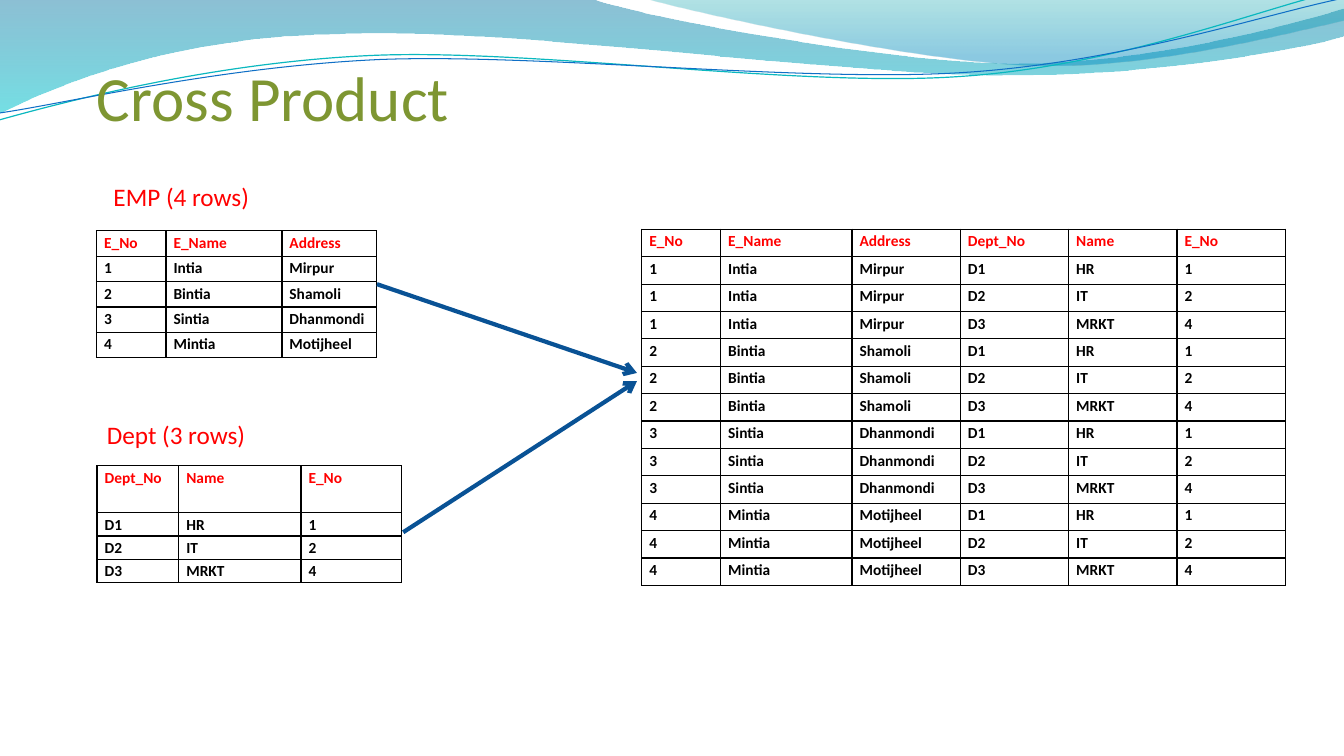
from itertools import product

from lxml.etree import SubElement
from pptx import Presentation
from pptx.dml.color import RGBColor
from pptx.enum.shapes import MSO_CONNECTOR
from pptx.enum.text import MSO_ANCHOR as ANCHOR, MSO_AUTO_SIZE as AUTO_SIZE
from pptx.oxml import parse_xml
from pptx.oxml.ns import nsdecls, qn
from pptx.util import Pt

FONT = "Calibri"
RED, BLACK, GREEN, NAVY = "FF0000", "000000", "7E9632", "095295"


def rgb(value):
    return RGBColor.from_string(value)


class Deck:
    def __init__(self, width, height):
        self.prs = Presentation()
        self.prs.slide_width, self.prs.slide_height = Pt(width), Pt(height)
        self.slide = self.prs.slides.add_slide(self.prs.slide_layouts[6])
        self.shapes = self.slide.shapes

    def outline(self, start, segments, close):
        """Segments are lines (x, y) or cubic curves (x1, y1, x2, y2, x, y)."""
        points = [(Pt(x), Pt(y)) for seg in segments for x, y in zip(seg[::2], seg[1::2])]
        builder = self.shapes.build_freeform(*map(Pt, start), scale=1.0)
        builder.add_line_segments(points, close=close)
        sp = builder.convert_to_shape()
        sp.shadow.inherit = False
        # Join each three points of a curve into one cubic command
        steps = iter(list(sp._element.iter(qn("a:lnTo"))))
        for seg in segments:
            first, *others = [next(steps) for _ in seg[::2]]
            if others:
                first.tag = qn("a:cubicBezTo")
                for step in others:
                    first.append(step[0])
                    step.getparent().remove(step)
        return sp

    def wave(self, start, segments, stops):
        """Closed shape with a downward gradient; stops are (position, colour, opacity %)."""
        sp = self.outline(start, segments, True)
        sp.line.fill.background()
        sp.fill.gradient()
        sp.fill.gradient_angle = 270
        for stop, (position, color, _) in zip(sp.fill.gradient_stops, stops):
            stop.position = position
            stop.color.rgb = rgb(color)
        colors = list(sp._element.spPr.iter(qn("a:srgbClr")))
        for clr, (_, _, opacity) in zip(colors, stops):
            SubElement(clr, qn("a:alpha")).set("val", str(opacity * 1000))

    def curve(self, start, segments, color, width):
        sp = self.outline(start, segments, False)
        sp.rotation = 357.3
        sp.fill.background()
        sp.line.color.rgb = rgb(color)
        sp.line.width = Pt(width)

    def style(self, p, size, color, bold=False):
        p.font.name, p.font.size, p.font.bold = FONT, Pt(size), bold
        p.font.color.rgb = rgb(color)

    def text(self, text, box, size, color, anchor=ANCHOR.MIDDLE, insets=(7.2, 3.6, 7.2, 3.6),
             fit=AUTO_SIZE.SHAPE_TO_FIT_TEXT):
        tf = self.shapes.add_textbox(*map(Pt, box)).text_frame
        tf.word_wrap, tf.auto_size, tf.vertical_anchor = True, fit, anchor
        tf.margin_left, tf.margin_top, tf.margin_right, tf.margin_bottom = map(Pt, insets)
        p = tf.paragraphs[0]
        p.text = text
        self.style(p, size, color)

    def table(self, left, top, widths, heights, rows):
        frame = self.shapes.add_table(len(rows), len(widths), Pt(left), Pt(top),
                                      Pt(sum(widths)), Pt(sum(heights)))
        table = frame.table
        table.first_row = table.horz_banding = False
        for col, width in zip(table.columns, widths):
            col.width = Pt(width)
        for row, height in zip(table.rows, heights):
            row.height = Pt(height)
        for r, values in enumerate(rows):
            for c, value in enumerate(values):
                self.cell(table.cell(r, c), value, BLACK if r else RED)

    def cell(self, cell, value, color):
        cell.fill.background()
        cell.margin_left = cell.margin_right = Pt(5.4)
        cell.margin_top = cell.margin_bottom = 0
        p = cell.text_frame.paragraphs[0]
        p.text, p.line_spacing = value, 1.15
        self.style(p, 11, color, True)
        tc_pr = cell._tc.get_or_add_tcPr()
        for i, side in enumerate("LRTB"):
            tc_pr.insert(i, parse_xml(
                f'<a:ln{side} {nsdecls("a")} w="{Pt(1)}"><a:solidFill>'
                f'<a:srgbClr val="{BLACK}"/></a:solidFill></a:ln{side}>'))

    def arrow(self, start, end):
        line = self.shapes.add_connector(MSO_CONNECTOR.STRAIGHT, *map(Pt, start + end))
        line.line.color.rgb = rgb(NAVY)
        line.line.width = Pt(3)
        SubElement(line.line._get_or_add_ln(), qn("a:tailEnd")).set("type", "arrow")
        SubElement(line._element.spPr, qn("a:effectLst"))


def main():
    deck = Deck(960, 540)

    # Wave header
    deck.wave((0, 0), [(422.6, -0.7),
                       (456.5, 12.2, 637.2, 45.4, 727.9, 45.4),
                       (819.4, 45.4, 920.2, 18.7, 959.8, 6.5),
                       (961.2, 25.9),
                       (943.9, 31.7, 835.2, 54.7, 715.7, 54),
                       (596.9, 54, 366.5, 20.2, 247, 24.5),
                       (123.8, 25.9, 43.9, 59.8, -0.7, 81.4)],
              [(0, "0074A1", 45), (1, "00C6CF", 55)])
    deck.wave((460.1, -0.7), [(488.9, 7.9, 654.5, 44.6, 738, 46.8),
                              (821.5, 49.7, 923, 23, 959.8, 15.1),
                              (959.8, 0)],
              [(0, "00A1A9", 30), (0.8, "008BBF", 45)])
    deck.curve((-2.3, 63.1), [(45.1, 52.3, 152.1, 29.2, 266, 29.6),
                              (379.8, 29.9, 567.7, 66.8, 683.2, 64.4),
                              (798.5, 62.6, 902.6, 25.7, 960.1, 15.5)], "0AB8BF", 0.85)
    deck.curve((-1.3, 58), [(44.4, 53.7, 157.2, 32.3, 272.4, 32.7),
                            (386.9, 33.8, 572.2, 63.4, 687, 61.6),
                            (802.3, 59.8, 904.7, 30, 962, 21.2)], "0F6FC6", 0.75)

    # Title
    deck.text("Cross Product", (69.2, 52, 655, 44), 45, GREEN, ANCHOR.BOTTOM,
              (0, 3.6, 0, 0), AUTO_SIZE.NONE)

    # Source tables
    emp_head = ("E_No", "E_Name", "Address")
    emp = [("1", "Intia", "Mirpur"), ("2", "Bintia", "Shamoli"),
           ("3", "Sintia", "Dhanmondi"), ("4", "Mintia", "Motijheel")]
    dept_head = ("Dept_No", "Name", "E_No")
    dept = [("D1", "HR", "1"), ("D2", "IT", "2"), ("D3", "MRKT", "4")]
    deck.table(69, 164.8, (49.6, 82.8, 67.7), [18.15] * 5, [emp_head] + emp)
    deck.table(69.3, 332.7, (58.4, 87.3, 72), [33.4] + [16.7] * 3, [dept_head] + dept)
    deck.text("EMP (4 rows)", (74, 125.6, 127, 29), 18, RED)
    deck.text("Dept (3 rows)", (69.3, 295.6, 165, 29), 18, RED)

    # Every employee row paired with every department row
    pairs = [e + d for e, d in product(emp, dept)]
    deck.table(458.4, 163.8, [56.4, 93.8] + [77.4] * 4, [19.58] * 13,
               [emp_head + dept_head] + pairs)

    # Arrows into the result
    deck.arrow((269.3, 203), (455, 266.4))
    deck.arrow((288, 380.2), (455, 272.2))

    deck.prs.save("out.pptx")


if __name__ == "__main__":
    main()
